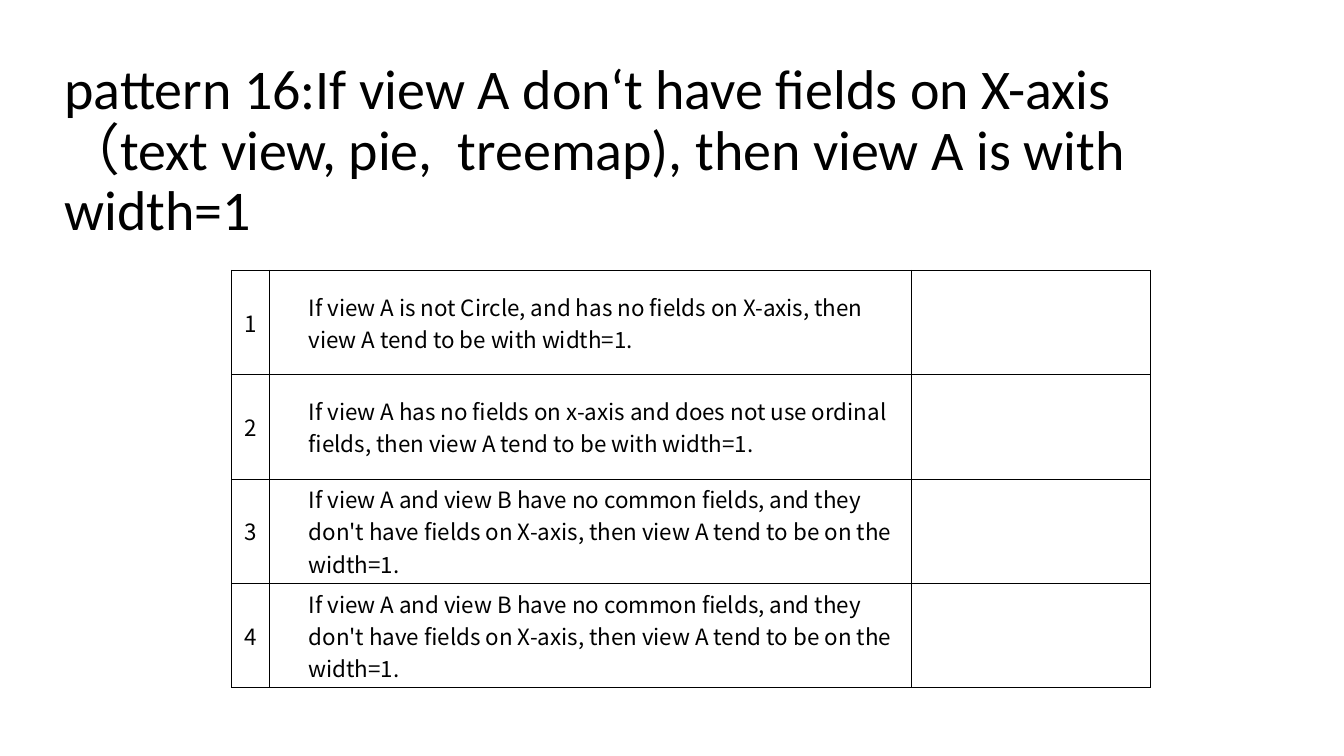
from lxml import etree
from pptx import Presentation
from pptx.dml.color import RGBColor
from pptx.enum.text import MSO_ANCHOR, MSO_AUTO_SIZE, PP_ALIGN
from pptx.oxml.ns import qn
from pptx.util import Cm, Pt

BLACK = RGBColor(0, 0, 0)
MIDDLE = MSO_ANCHOR.MIDDLE
BOTTOM = MSO_ANCHOR.BOTTOM
NO_AUTOFIT = MSO_AUTO_SIZE.NONE
LEFT = PP_ALIGN.LEFT
CENTER = PP_ALIGN.CENTER
TITLE_ONLY_LAYOUT = 5
TITLE_FONT = "Calibri"
TABLE_FONT = "Noto Sans CJK SC"

TITLE = (
    "pattern 16:If view A don\u2018t have fields on X-axis "
    "\uff08text view, pie,  treemap), then view A is with width=1"
)
NO_COMMON_FIELDS = (
    "If view A and view B have no common fields, and they don't have fields "
    "on X-axis, then view A tend to be on the width=1."
)
RULES = [
    "If view A is not Circle, and has no fields on X-axis, then view A tend "
    "to be with width=1.",
    "If view A has no fields on x-axis and does not use ordinal fields, then "
    "view A tend to be with width=1.",
    NO_COMMON_FIELDS,
    NO_COMMON_FIELDS,
]
COLUMN_WIDTHS = [Cm(0.94), Cm(16.18), Cm(6.02)]
ROW_HEIGHT = Cm(2.63)
RULE_INDENT = Cm(1)
BORDER_WIDTH = Pt(0.75)


def add_run(paragraph, text, font_name, size):
    run = paragraph.add_run()
    run.text = text
    run.font.name = font_name
    run.font.size = Pt(size)
    run.font.color.rgb = BLACK


def add_title(slide, text):
    title = slide.shapes.title
    title.left, title.top = Cm(1.37), Cm(2.16)
    title.width, title.height = Cm(30.56), Cm(4.09)
    frame = title.text_frame
    frame.word_wrap = True
    frame.auto_size = NO_AUTOFIT
    frame.vertical_anchor = BOTTOM
    paragraph = frame.paragraphs[0]
    paragraph.alignment = LEFT
    paragraph.line_spacing = 0.9
    add_run(paragraph, text, TITLE_FONT, 40)


def add_borders(cell):
    properties = cell._tc.get_or_add_tcPr()
    for side in ("a:lnL", "a:lnR", "a:lnT", "a:lnB"):
        line = etree.SubElement(properties, qn(side), w=str(BORDER_WIDTH))
        fill = etree.SubElement(line, qn("a:solidFill"))
        etree.SubElement(fill, qn("a:srgbClr"), val=str(BLACK))


def format_cell(cell):
    add_borders(cell)
    cell.fill.background()
    cell.vertical_anchor = MIDDLE
    cell.margin_left = cell.margin_right = 0
    cell.margin_top = cell.margin_bottom = 0


def write_cell(cell, text, alignment, indent=0):
    paragraph = cell.text_frame.paragraphs[0]
    paragraph.alignment = alignment
    if indent:
        paragraph._p.get_or_add_pPr().set("marL", str(indent))
    add_run(paragraph, text, TABLE_FONT, 16)


def add_rule_table(slide, rules):
    table = slide.shapes.add_table(
        len(rules), len(COLUMN_WIDTHS), Cm(5.84), Cm(6.81),
        sum(COLUMN_WIDTHS), ROW_HEIGHT * len(rules),
    ).table
    table.first_row = False
    table.horz_banding = False
    for column, width in zip(table.columns, COLUMN_WIDTHS):
        column.width = width
    for row in table.rows:
        row.height = ROW_HEIGHT
    for cell in table.iter_cells():
        format_cell(cell)
    for index, rule in enumerate(rules):
        write_cell(table.cell(index, 0), str(index + 1), CENTER)
        write_cell(table.cell(index, 1), rule, LEFT, RULE_INDENT)


def main():
    presentation = Presentation()
    presentation.slide_width = Cm(33.87)
    presentation.slide_height = Cm(19.05)
    layout = presentation.slide_layouts[TITLE_ONLY_LAYOUT]
    slide = presentation.slides.add_slide(layout)
    add_title(slide, TITLE)
    add_rule_table(slide, RULES)
    presentation.save("out.pptx")


main()
